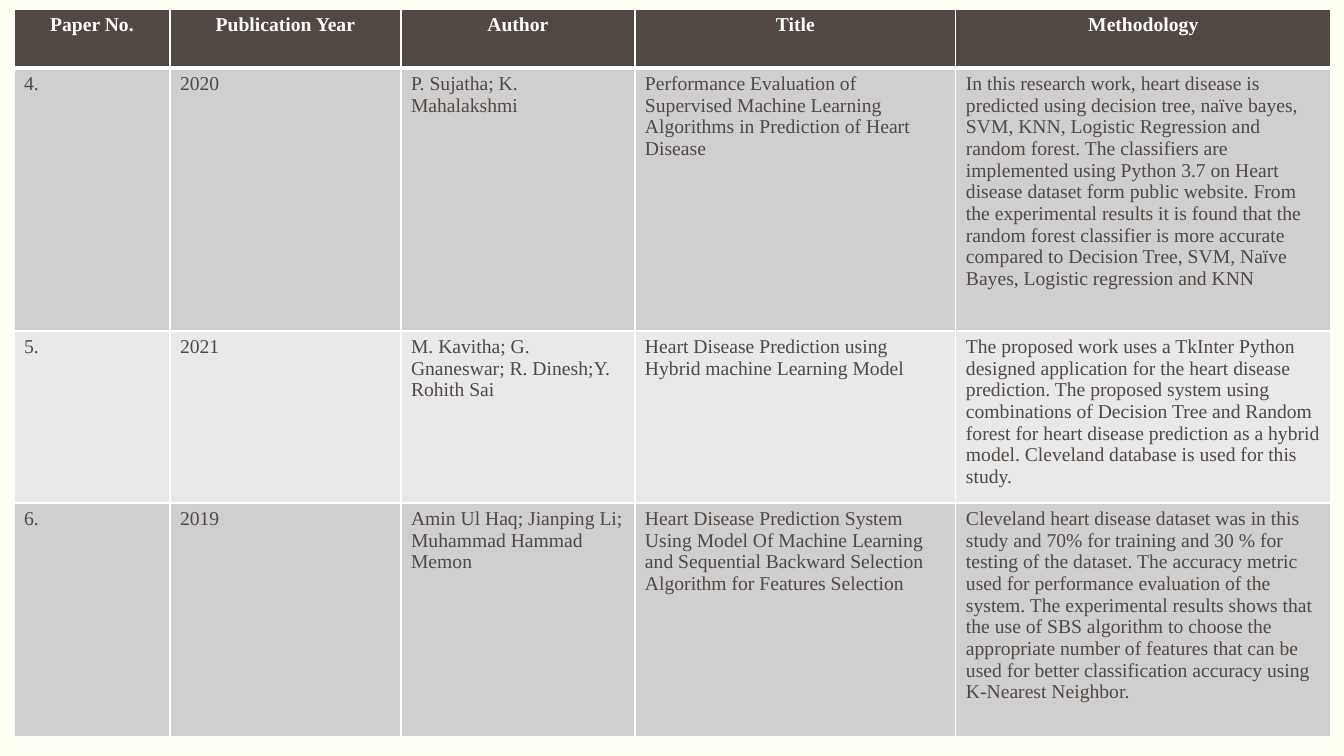
from lxml import etree
from pptx import Presentation
from pptx.dml.color import RGBColor
from pptx.enum.text import PP_ALIGN
from pptx.oxml.ns import qn
from pptx.util import Pt

CENTER, LEFT = PP_ALIGN.CENTER, PP_ALIGN.LEFT
EMU_PER_INCH = 914400
PX_PER_INCH = 100.8

BROWN, WHITE, CREAM = "514843", "FFFFFF", "FFFFF3"
BANDS = ("D0CFCF", "E9E9E9")

COLUMN_WIDTHS = (156, 231, 234, 321, 375)
ROW_HEIGHTS = (59, 263, 172, 234)
HEADINGS = ("Paper No.", "Publication Year", "Author", "Title", "Methodology")
PAPERS = (
    ("4.", "2020", "P. Sujatha; K. Mahalakshmi",
     "Performance Evaluation of Supervised Machine Learning Algorithms in "
     "Prediction of Heart Disease",
     "In this research work, heart disease is predicted using decision tree, "
     "naïve bayes, SVM, KNN, Logistic Regression and random forest. The "
     "classifiers are implemented using Python 3.7 on Heart disease dataset "
     "form public website. From the experimental results it is found that the "
     "random forest classifier is more accurate compared to Decision Tree, "
     "SVM, Naïve Bayes, Logistic regression and KNN"),
    ("5.", "2021", "M. Kavitha; G. Gnaneswar; R. Dinesh;Y. Rohith Sai",
     "Heart Disease Prediction using Hybrid machine Learning Model",
     "The proposed work uses a TkInter Python designed application for the "
     "heart disease prediction. The proposed system using combinations of "
     "Decision Tree and Random forest for heart disease prediction as a "
     "hybrid model. Cleveland database is used for this study."),
    ("6.", "2019", "Amin Ul Haq; Jianping Li; Muhammad Hammad Memon",
     "Heart Disease Prediction System Using Model Of Machine Learning and "
     "Sequential Backward Selection Algorithm for Features Selection",
     "Cleveland heart disease dataset was in this study and 70% for training "
     "and 30 % for testing of the dataset. The accuracy metric used for "
     "performance evaluation of the system. The experimental results shows "
     "that the use of SBS algorithm to choose the appropriate number of "
     "features that can be used for better classification accuracy using "
     "K-Nearest Neighbor."),
)


def px(length):
    return round(length * EMU_PER_INCH / PX_PER_INCH)


def color(value):
    return RGBColor.from_string(value)


class SlideBuilder:
    """Holds the text style and the current slide."""

    def __init__(self, slide, font="Times New Roman", size=14):
        self.slide = slide
        self.font = font
        self.size = size

    def background(self, fill):
        self.slide.background.fill.solid()
        self.slide.background.fill.fore_color.rgb = color(fill)

    def borders(self, cell, widths):
        properties = cell._tc.get_or_add_tcPr()
        for side, width in zip("LRTB", widths):
            line = etree.SubElement(properties, qn(f"a:ln{side}"), w=str(Pt(width)))
            fill = etree.SubElement(line, qn("a:solidFill"))
            etree.SubElement(fill, qn("a:srgbClr"), val=WHITE)

    def cell(self, cell, text, fill, text_color, bold, alignment):
        cell.fill.solid()
        cell.fill.fore_color.rgb = color(fill)
        paragraph = cell.text_frame.paragraphs[0]
        paragraph.alignment = alignment
        run = paragraph.add_run()
        run.text = text
        run.font.name = self.font
        run.font.size = Pt(self.size)
        run.font.bold = bold
        run.font.color.rgb = color(text_color)

    def table(self, left, top, widths, heights, rows):
        frame = self.slide.shapes.add_table(
            len(heights), len(widths), px(left), px(top),
            px(sum(widths)), px(sum(heights)))
        table = frame.table
        for column, width in zip(table.columns, widths):
            column.width = px(width)
        for row, height in zip(table.rows, heights):
            row.height = px(height)
        for row_index, texts in enumerate(rows):
            if row_index == 0:
                style = (BROWN, WHITE, True, CENTER)
            else:
                style = (BANDS[(row_index - 1) % 2], BROWN, False, LEFT)
            top_width = 3 if row_index == 1 else 1
            bottom_width = 3 if row_index == 0 else 1
            for column_index, text in enumerate(texts):
                cell = table.cell(row_index, column_index)
                self.borders(cell, (1, 1, top_width, bottom_width))
                self.cell(cell, text, *style)


def main():
    presentation = Presentation()
    presentation.slide_width = px(1344)
    presentation.slide_height = px(756)
    slide = presentation.slides.add_slide(presentation.slide_layouts[6])
    builder = SlideBuilder(slide)
    builder.background(CREAM)
    builder.table(14, 9, COLUMN_WIDTHS, ROW_HEIGHTS, (HEADINGS, *PAPERS))
    presentation.save("out.pptx")


if __name__ == "__main__":
    main()
